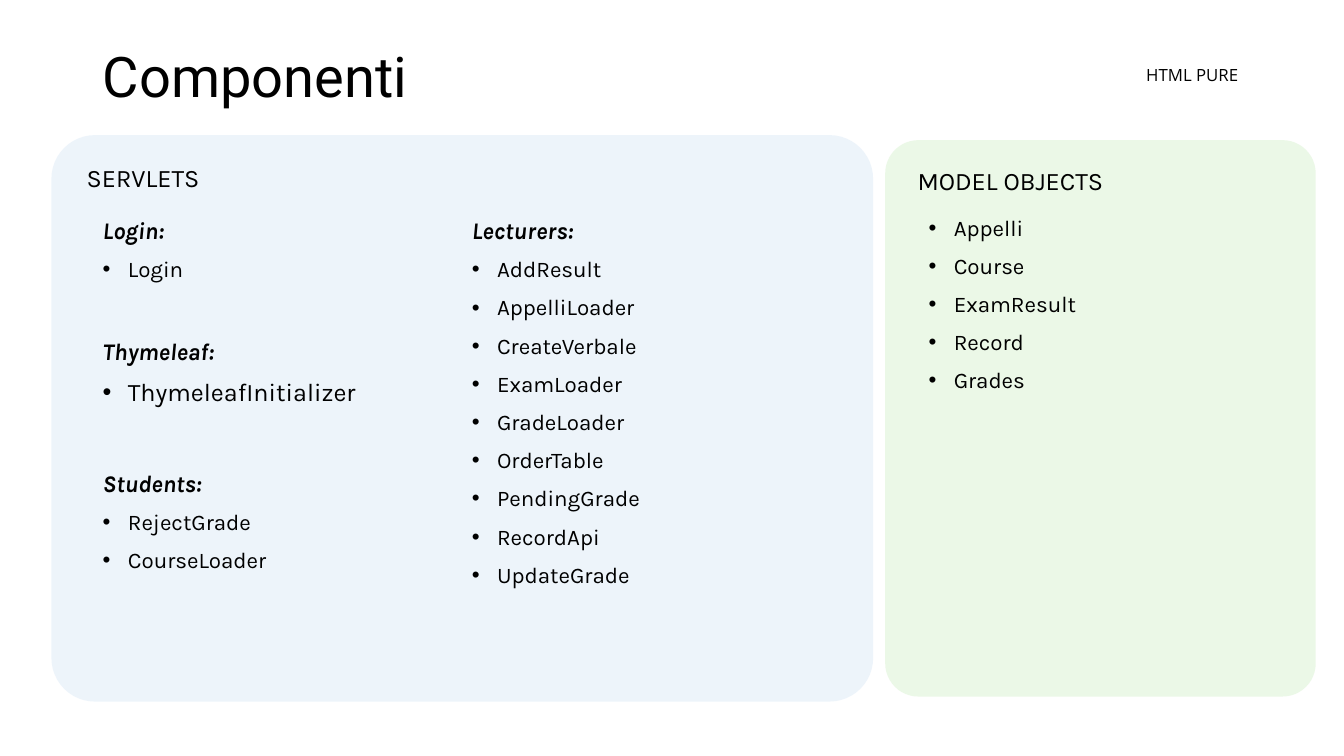
import pptx
import pptx.dml.color
import pptx.enum.shapes
import pptx.enum.text
import pptx.oxml
import pptx.oxml.ns
import pptx.util
from pptx.util import Inches

BLACK = pptx.dml.color.RGBColor(0x00, 0x00, 0x00)
PALE_BLUE = pptx.dml.color.RGBColor(0xDC, 0xEA, 0xF7)
PALE_GREEN = pptx.dml.color.RGBColor(0xD9, 0xF2, 0xD0)

ALIGN = pptx.enum.text.PP_ALIGN
ANCHOR = pptx.enum.text.MSO_ANCHOR
FIT = pptx.enum.text.MSO_AUTO_SIZE

LABEL = {"size": 18}
GROUP = {"size": 17, "bold": True, "italic": True}
ITEM = {"size": 16}


def set_all(target, values):
    for name, value in values.items():
        setattr(target, name, value)


def append_xml(parent, tag, **attributes):
    child = pptx.oxml.parse_xml(f"<{tag} {pptx.oxml.ns.nsdecls('a')}/>")
    for name, value in attributes.items():
        child.set(name, value)
    parent.append(child)


class ComponentSlide:
    font = {"name": "Karla", "bold": False, "italic": False}
    spacing = {"alignment": ALIGN.LEFT, "line_spacing": 0.9,
               "space_before": pptx.util.Pt(10), "space_after": pptx.util.Pt(0)}

    def __init__(self, deck):
        comparison_layout = deck.slide_layouts[4]
        self.page = deck.slides.add_slide(comparison_layout)

    def panel(self, place, color):
        """Add a half-transparent rounded panel behind everything else."""
        panel = self.page.shapes.add_shape(
            pptx.enum.shapes.MSO_SHAPE.ROUNDED_RECTANGLE, *map(Inches, place))
        panel.adjustments[0] = 0.077
        panel.shadow.inherit = False
        panel.fill.solid()
        panel.fill.fore_color.rgb = color
        panel.line.fill.background()
        solid = panel.element.spPr.find(pptx.oxml.ns.qn("a:solidFill"))
        append_xml(solid[0], "a:alpha", val="50000")
        panel.element.getparent().insert(2, panel.element)

    def frame(self, place, holder=None, anchor=ANCHOR.TOP, fit=FIT.NONE):
        """Return the empty text frame of a placed placeholder or a new text box."""
        places = [Inches(length) for length in place]
        if holder is None:
            box = self.page.shapes.add_textbox(*places)
        else:
            box = self.page.placeholders[holder]
            set_all(box, dict(zip(("left", "top", "width", "height"), places)))
        set_all(box.text_frame, {"word_wrap": True, "auto_size": fit,
                                 "vertical_anchor": anchor})
        return box.text_frame

    def line(self, frame, text, font, bullet=False, **spacing):
        """Write the next paragraph of a frame."""
        para = frame.paragraphs[0]
        if para.runs:
            para = frame.add_paragraph()
        set_all(para, {**self.spacing, **spacing})
        properties = para._p.get_or_add_pPr()
        indent = Inches(0.25) if bullet else 0
        properties.set("marL", str(indent))
        properties.set("indent", str(-indent))
        if bullet:
            append_xml(properties, "a:buFont", typeface="Arial")
            append_xml(properties, "a:buChar", char="•")
        else:
            append_xml(properties, "a:buNone")
        span = para.add_run()
        span.text = text
        style = {**self.font, **font}
        set_all(span.font, {**style, "size": pptx.util.Pt(style["size"])})
        span.font.color.rgb = BLACK

    def component_list(self, place, items, heading=None, holder=None, item_font=ITEM):
        frame = self.frame(place, holder)
        if heading:
            self.line(frame, heading, GROUP)
        for item in items:
            self.line(frame, item, item_font, bullet=True)


def main():
    deck = pptx.Presentation()
    deck.slide_width, deck.slide_height = Inches(13.33), Inches(7.5)
    slide = ComponentSlide(deck)

    slide.panel((0.51, 1.34, 8.15, 5.62), PALE_BLUE)
    slide.panel((8.78, 1.39, 4.27, 5.52), PALE_GREEN)

    title = slide.frame((0.92, 0.34, 6.18, 0.8), holder=0, anchor=ANCHOR.BOTTOM)
    slide.line(title, "Componenti", {"name": "Roboto", "size": 40},
               space_before=pptx.util.Pt(0))
    tag = slide.frame((11.27, 0.59, 1.14, 0.3), fit=FIT.SHAPE_TO_FIT_TEXT)
    slide.line(tag, "HTML PURE", {"name": "Open Sans", "size": 12},
               line_spacing=1.0, space_before=pptx.util.Pt(0))

    servlets = slide.frame((0.76, 1.62, 1.9, 0.37), holder=1)
    slide.line(servlets, "SERVLETS", LABEL, line_spacing=0.8)
    slide.component_list((0.92, 2.12, 4, 0.8), ["Login"], "Login:")
    slide.component_list((0.92, 3.32, 2.75, 0.9), ["ThymeleafInitializer"],
                         "Thymeleaf:", item_font=LABEL)
    slide.component_list((0.92, 4.63, 2.75, 1.25), ["RejectGrade", "CourseLoader"],
                         "Students:")
    slide.component_list(
        (4.58, 2.12, 2.87, 3.77),
        ["AddResult", "AppelliLoader", "CreateVerbale", "ExamLoader", "GradeLoader",
         "OrderTable", "PendingGrade", "RecordApi", "UpdateGrade"],
        "Lecturers:", holder=2)

    models = slide.frame((9, 1.62, 2.27, 0.4), holder=3)
    slide.line(models, "MODEL OBJECTS", LABEL, alignment=ALIGN.JUSTIFY)
    slide.component_list((9.11, 2.1, 3.31, 1.99),
                         ["Appelli", "Course", "ExamResult", "Record", "Grades"],
                         holder=4)

    deck.save("out.pptx")


if __name__ == "__main__":
    main()
